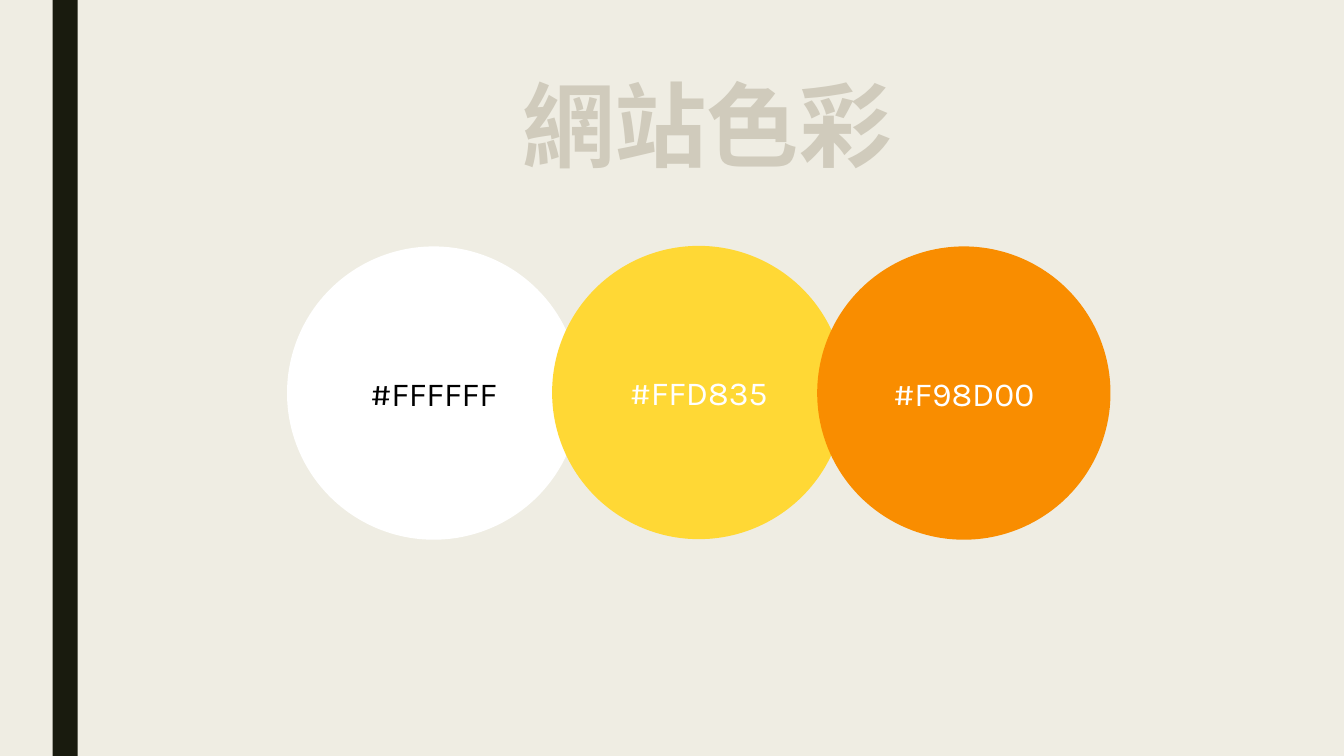
import pptx
import pptx.util
import pptx.dml.color
import pptx.enum.shapes
import pptx.enum.text

Pt = pptx.util.Pt
Kind = pptx.enum.shapes.MSO_SHAPE
HUES = {
    "ground": "EFEDE3",
    "bar": "191B0E",
    "title": "D0CBBC",
    "black": "000000",
    "white": "FFFFFF",
    "yellow": "FFD835",
    "orange": "F98D00",
}


def hue(name):
    """Return the named colour."""
    return pptx.dml.color.RGBColor.from_string(HUES[name])


def write(shape, text, size=24, ink="white", bold=False, font="Karla"):
    """Put centred text in a shape."""
    frame = shape.text_frame
    frame.word_wrap = True
    frame.vertical_anchor = pptx.enum.text.MSO_ANCHOR.MIDDLE
    para = frame.paragraphs[0]
    para.alignment = pptx.enum.text.PP_ALIGN.CENTER
    run = para.add_run()
    run.text = text
    run.font.name = font
    run.font.size = Pt(size)
    run.font.bold = bold
    run.font.color.rgb = hue(ink)


def draw(slide, kind, box, fill):
    """Add a plain filled shape."""
    shape = slide.shapes.add_shape(kind, *map(Pt, box))
    shape.shadow.inherit = False
    shape.fill.solid()
    shape.fill.fore_color.rgb = hue(fill)
    shape.line.fill.background()
    return shape


def head(slide, box):
    """Add the slide title."""
    label = slide.shapes.add_textbox(*map(Pt, box))
    write(label, "網站色彩", size=66, ink="title", bold=True)


def swatches(slide, box):
    """Add a row of overlapping colour circles across the box."""
    left, top, width, side = box
    items = [("white", "black", 0.4), ("yellow", "white", 0), ("orange", "white", 0.4)]
    step = (width - side) / (len(items) - 1)
    for i, (fill, ink, drop) in enumerate(items):
        place = (left + i * step, top + drop, side, side)
        disc = draw(slide, Kind.OVAL, place, fill)
        write(disc, "#" + HUES[fill], ink=ink)


def main():
    """Build and save the slide."""
    deck = pptx.Presentation()
    deck.slide_width, deck.slide_height = Pt(960), Pt(540)
    slide = deck.slides.add_slide(deck.slide_layouts[6])
    slide.background.fill.solid()
    slide.background.fill.fore_color.rgb = hue("ground")
    draw(slide, Kind.RECTANGLE, (37.5, 0, 18, 540), "bar")
    head(slide, (305, 40, 400, 97))
    swatches(slide, (205, 175.6, 588.2, 209.5))
    deck.save("out.pptx")


if __name__ == "__main__":
    main()
